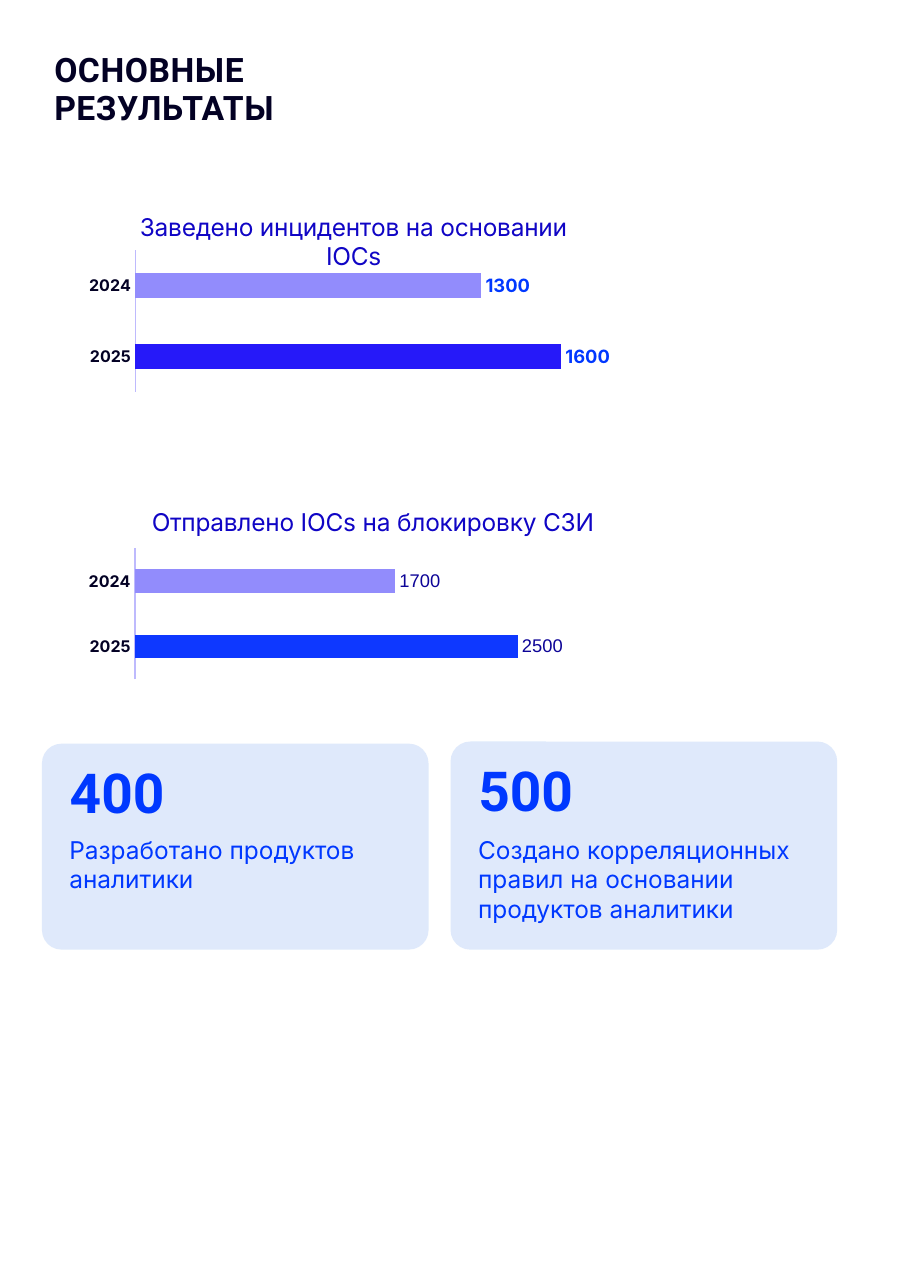
"""Build the portrait results page: two bar charts and two figure cards."""
from lxml import etree
from pptx import Presentation
from pptx.chart.data import CategoryChartData
from pptx.dml.color import RGBColor
from pptx.enum.chart import XL_CHART_TYPE, XL_LABEL_POSITION, XL_TICK_MARK
from pptx.enum.shapes import MSO_SHAPE
from pptx.enum.text import MSO_ANCHOR, PP_ALIGN
from pptx.oxml.ns import qn
from pptx.util import Pt

COLORS = {
    "ink": "030124", "accent": "0038FF", "card": "D2E1FA", "axis": "BEBAFD",
    "heading": "1005C5", "past": "928CFC", "violet": "2619F9",
    "blue": "0E38FF", "navy": "0D0497",
}


def style(font, name, size, color, bold=False):
    font.name, font.size, font.bold = name, Pt(size), bold
    font.color.rgb = RGBColor.from_string(COLORS[color])


def place(parent, index, **values):
    for old in parent.findall(qn("c:layout")):
        parent.remove(old)
    layout = etree.Element(qn("c:layout"))
    manual = etree.SubElement(layout, qn("c:manualLayout"))
    for tag, value in values.items():
        etree.SubElement(manual, qn(f"c:{tag}")).set("val", str(value))
    parent.insert(index, layout)


prs = Presentation()
prs.slide_width, prs.slide_height = Pt(595.44), Pt(841.68)
slide = prs.slides.add_slide(prs.slide_layouts[6])

cards = [
    (294.5, 484.6, 136, "500", 312.5, 223,
     "Создано корреляционных правил на основании продуктов аналитики"),
    (27.4, 486, 134.6, "400", 45.4, 196, "Разработано продуктов аналитики"),
]
for left, top, height, figure, caption_left, caption_width, caption in cards:
    card = slide.shapes.add_shape(
        MSO_SHAPE.ROUNDED_RECTANGLE, Pt(left), Pt(top), Pt(252.7), Pt(height))
    card.adjustments[0] = 0.095
    card.shadow.inherit = False
    card.line.fill.background()
    card.fill.solid()
    card.fill.fore_color.rgb = RGBColor.from_string(COLORS["card"])
    tint = card.fill._xPr.find(qn("a:solidFill"))[0]
    etree.SubElement(tint, qn("a:alpha")).set("val", "70000")
    frame = card.text_frame
    frame.margin_left, frame.margin_top = Pt(14.4), Pt(5.8)
    frame.margin_right, frame.margin_bottom = Pt(7.2), Pt(3.6)
    frame.vertical_anchor = MSO_ANCHOR.TOP
    frame.text = figure
    frame.paragraphs[0].alignment = PP_ALIGN.LEFT
    style(frame.paragraphs[0].font, "Roboto", 36, "accent", True)

    caption_frame = slide.shapes.add_textbox(
        Pt(caption_left), Pt(545.6), Pt(caption_width), Pt(58)).text_frame
    caption_frame.word_wrap = True
    caption_frame.margin_left = caption_frame.margin_right = 0
    caption_frame.margin_top = caption_frame.margin_bottom = 0
    caption_frame.text = caption
    style(caption_frame.paragraphs[0].font, "Inter", 16, "accent")

heading = slide.shapes.add_textbox(Pt(35.5), Pt(33.6), Pt(417.6), Pt(50.4)).text_frame
heading.word_wrap = True
heading.margin_left = heading.margin_right = 0
heading.margin_top = heading.margin_bottom = 0
heading.text = "ОСНОВНЫЕ \vРЕЗУЛЬТАТЫ"
heading.paragraphs[0].line_spacing = 0.95
style(heading.paragraphs[0].font, "Roboto", 22, "ink", True)
for run in heading.paragraphs[0].runs:
    run.font._element.set("spc", "40")

charts = [
    ("Заведено инцидентов на основании IOCs", (1600, 1300), 1800, "violet",
     ("Inter", 12, "accent", True), (19.4, 135, 406.6, 134.6),
     (0.17, 0.21, 0.77, 0.69), (0.17, 0)),
    ("Отправлено IOCs на блокировку СЗИ", (2500, 1700), 3000, "blue",
     ("Arial", 12, "navy"), (27.4, 303.8, 405.6, 147.6),
     (0.15, 0.37, 0.74, 0.58), (0.17, 0.16)),
]
for title, totals, maximum, current, label_font, box, plot_box, title_at in charts:
    data = CategoryChartData()
    data.categories = ["2025", "2024"]
    data.add_series(title, totals)
    chart = slide.shapes.add_chart(
        XL_CHART_TYPE.BAR_CLUSTERED, *map(Pt, box), data).chart
    chart.has_legend = False
    style(chart.font, "Arial", 10, "ink")

    chart.has_title = True
    chart.chart_title.text_frame.text = title
    style(chart.chart_title.text_frame.paragraphs[0].font, "Inter", 16, "heading")
    place(chart.chart_title._element, 1, xMode="edge", yMode="edge",
          x=title_at[0], y=title_at[1])
    place(chart._chartSpace.chart.plotArea, 0, layoutTarget="inner",
          xMode="edge", yMode="edge", **dict(zip("xywh", plot_box)))

    years, scale = chart.category_axis, chart.value_axis
    years.major_tick_mark = years.minor_tick_mark = XL_TICK_MARK.NONE
    years.has_major_gridlines = False
    years.format.line.width = Pt(0.75)
    years.format.line.color.rgb = RGBColor.from_string(COLORS["axis"])
    style(years.tick_labels.font, "Inter", 10.5, "ink", True)
    scale.visible = scale.has_major_gridlines = False
    scale.minimum_scale, scale.maximum_scale = 0, maximum

    bars = chart.plots[0]
    bars.gap_width = 182
    bars.vary_by_categories = False
    for index, color in enumerate((current, "past")):
        fill = bars.series[0].points[index].format.fill
        fill.solid()
        fill.fore_color.rgb = RGBColor.from_string(COLORS[color])
    labels = bars.series[0].data_labels
    labels.show_value = True
    labels.position = XL_LABEL_POSITION.OUTSIDE_END
    style(labels.font, *label_font)

prs.save("out.pptx")
